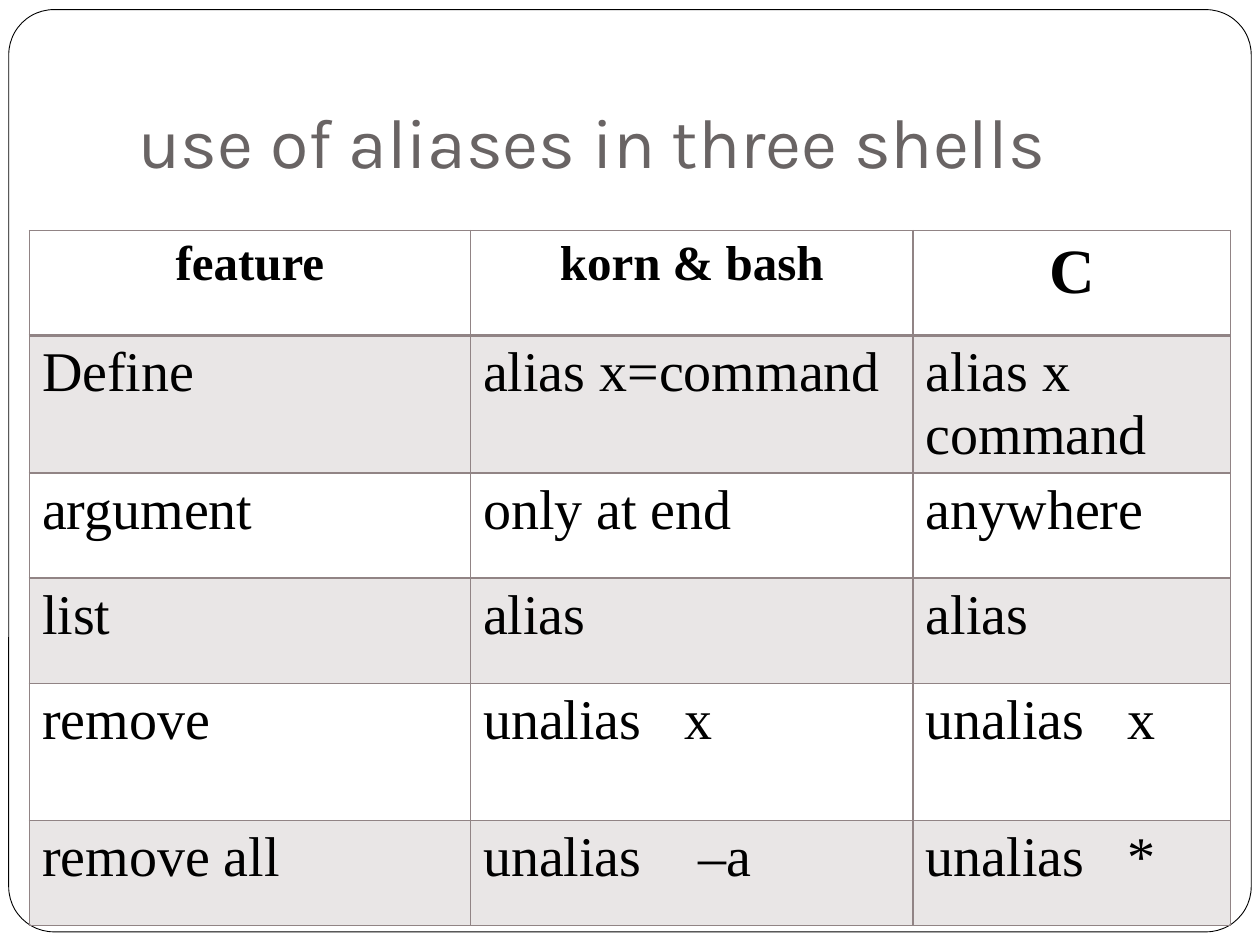
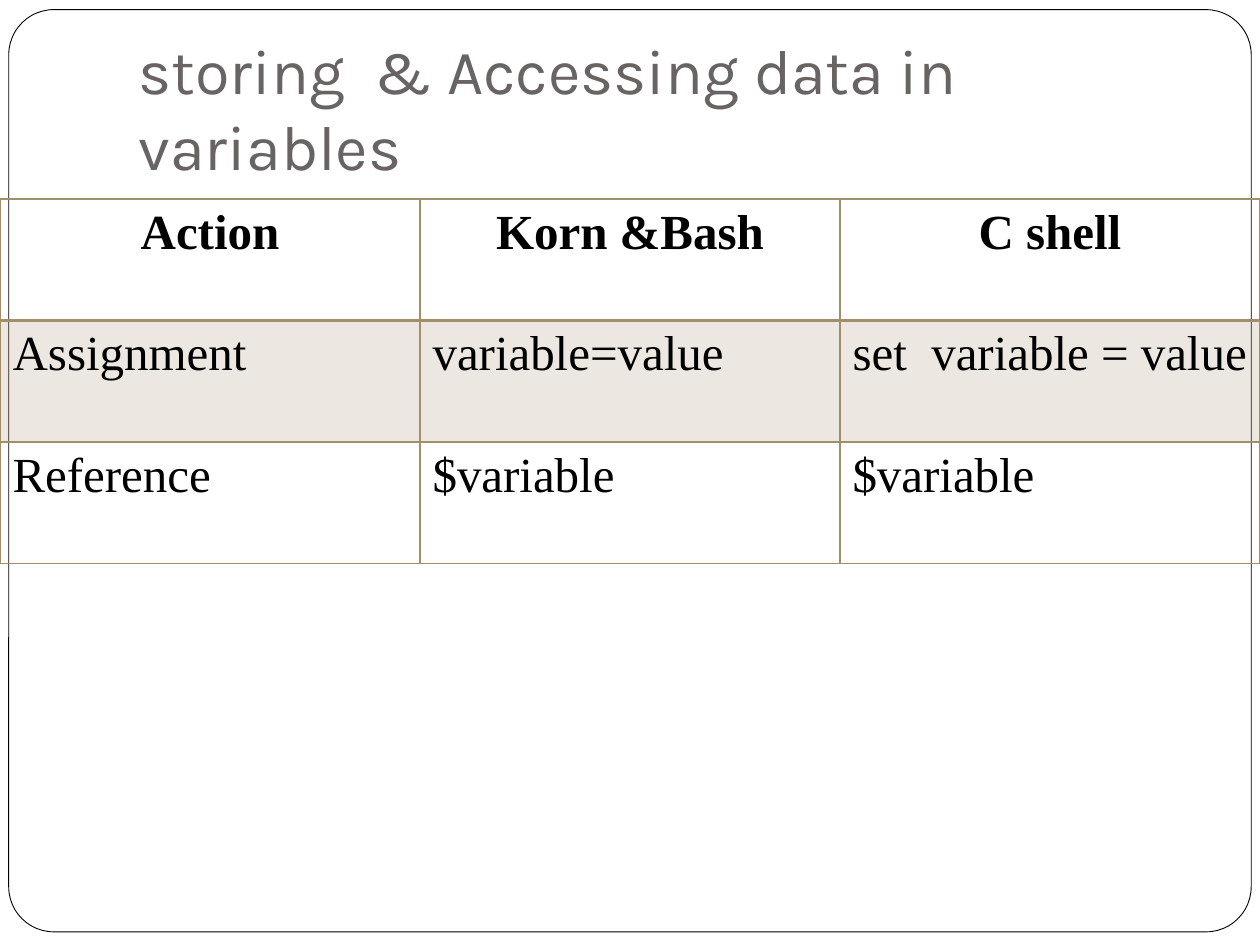
"""Two slides that compare command shells, each with a title and a table."""
from dataclasses import dataclass

from lxml import etree
from pptx import Presentation
from pptx.dml.color import RGBColor
from pptx.enum import shapes, text
from pptx.oxml import ns
from pptx.util import Pt

SANS, SERIF = "Karla", "Times New Roman"
INK, GREY, WHITE = "000000", "696464", "FFFFFF"
STOP = 115  # tab stop inside table cells
TITLE_ONLY = 5


@dataclass
class Grid:
    """A table: place, column widths, row heights, colour and words."""
    left: float
    top: float
    cols: list[float]
    rows: list[float]
    tint: str
    size: float
    cells: list[list[str]]


@dataclass
class Page:
    """One slide: its title, title size and table."""
    title: str
    size: float
    grid: Grid


PAGES = [
    Page("use of aliases in three shells", 40, Grid(
        16.8, 131.8, [252, 253, 181.4], [60, 78.4, 60, 60.4, 78.4, 60],
        "918485", 32, [
            ["feature", "korn & bash", "C"],
            ["Define", "alias x=command", "alias x command"],
            ["argument", "only at end", "anywhere"],
            ["list", "alias", "alias"],
            ["remove", "unalias\tx", "unalias\tx"],
            ["remove all", "unalias\t –a", "unalias\t*"],
        ])),
    Page("storing  & Accessing data in variables", 36, Grid(
        0, 113.8, [240] * 3, [69.4] * 3, "A28E6A", 28, [
            ["Action", "Korn &Bash", "C shell"],
            ["Assignment", "variable=value", "set  variable = value"],
            ["Reference", "$variable", "$variable"],
        ])),
]


def paint(fill, tone: str) -> None:
    """Make a fill solid in a hex colour."""
    fill.solid()
    fill.fore_color.rgb = RGBColor.from_string(tone)


def sub(node, tag: str, **attrs: str):
    """Append a drawing element and return it."""
    return etree.SubElement(node, ns.qn(tag), attrs)


def write(frame, words: str, *, size: float, font: str = SERIF,
          tone: str = INK, bold: bool = False, mid: bool = False) -> None:
    """Put formatted text in a text frame."""
    para = frame.paragraphs[0]
    para.alignment = text.PP_ALIGN.CENTER if mid else text.PP_ALIGN.LEFT
    run = para.add_run()
    run.text = words
    run.font.name, run.font.size, run.font.bold = font, Pt(size), bold
    paint(run.font.fill, tone)
    if "\t" in words:
        tabs = sub(para._p.get_or_add_pPr(), "a:tabLst")
        sub(tabs, "a:tab", pos=str(Pt(STOP)), algn="l")


def edge(cell, tone: str, above: float, below: float) -> None:
    """Draw the four borders of a cell."""
    props = cell._tc.get_or_add_tcPr()
    for side, width in zip("LRTB", (1, 1, above, below)):
        line = sub(props, f"a:ln{side}", w=str(Pt(width)))
        sub(sub(line, "a:solidFill"), "a:srgbClr", val=tone)


def shade(cell, tone: str) -> None:
    """Fill a cell with a colour at 20 % opacity."""
    paint(cell.fill, tone)
    hue = cell._tc.tcPr.find(f"{ns.qn('a:solidFill')}/{ns.qn('a:srgbClr')}")
    sub(hue, "a:alpha", val="20000")


def add_grid(slide, grid: Grid) -> None:
    """Add a table with a bold header and every other row shaded."""
    table = slide.shapes.add_table(
        len(grid.rows), len(grid.cols), Pt(grid.left), Pt(grid.top),
        Pt(sum(grid.cols)), Pt(sum(grid.rows))).table
    table.first_row = table.horz_banding = False
    for col, width in zip(table.columns, grid.cols):
        col.width = Pt(width)
    for i, (row, height) in enumerate(zip(table.rows, grid.rows)):
        row.height = Pt(height)
        head = i == 0
        for cell, words in zip(row.cells, grid.cells[i]):
            edge(cell, grid.tint, 2 if i == 1 else 1, 2 if head else 1)
            if i % 2:
                shade(cell, grid.tint)
            else:
                cell.fill.background()
            size = 36 if words == "C" else 28 if head else grid.size
            write(cell.text_frame, words, size=size, bold=head, mid=head)


def add_title(slide, words: str, size: float) -> None:
    """Move and fill the title placeholder."""
    title = slide.shapes.title
    title.left, title.top = Pt(72), Pt(21.6)
    title.width, title.height = Pt(612), Pt(90)
    frame = title.text_frame
    frame.word_wrap = True
    frame.auto_size = text.MSO_AUTO_SIZE.NONE
    frame.vertical_anchor = text.MSO_ANCHOR.BOTTOM
    frame.margin_left = frame.margin_right = frame.margin_bottom = Pt(7.2)
    frame.margin_top = Pt(3.6)
    write(frame, words, size=size, font=SANS, tone=GREY)


def add_frame(deck, slide) -> None:
    """Draw the rounded frame and move it to the master."""
    box = slide.shapes.add_shape(
        shapes.MSO_SHAPE.ROUNDED_RECTANGLE, Pt(5), Pt(5.5), Pt(710), Pt(527))
    box.adjustments[0] = 0.049
    box.shadow.inherit = False
    paint(box.fill, WHITE)
    paint(box.line.fill, INK)
    box.line.width = Pt(0.5)
    deck.slide_master.shapes.element.insert(2, box.element)


def main() -> None:
    """Build and save the slides."""
    deck = Presentation()
    deck.slide_width, deck.slide_height = Pt(720), Pt(540)
    for i, page in enumerate(PAGES):
        slide = deck.slides.add_slide(deck.slide_layouts[TITLE_ONLY])
        if i == 0:
            add_frame(deck, slide)
        add_title(slide, page.title, page.size)
        add_grid(slide, page.grid)
    deck.save("out.pptx")


main()
